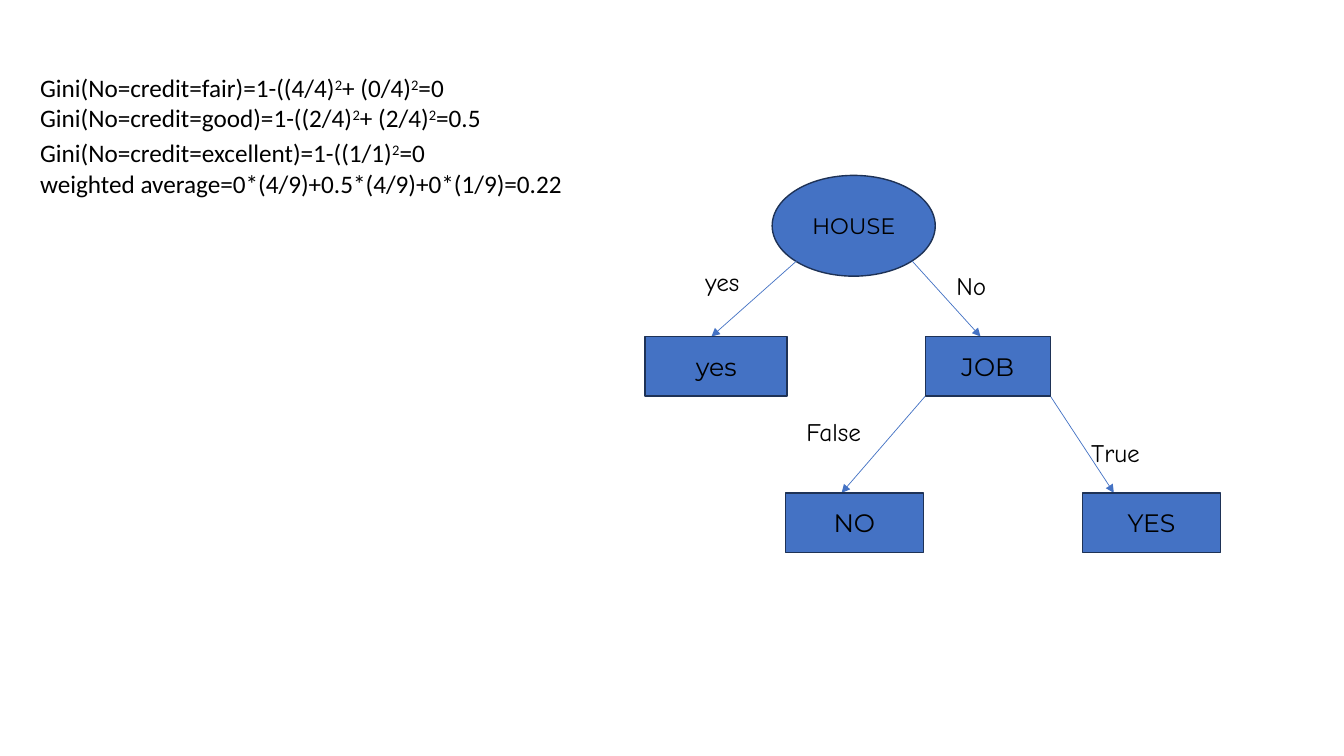
from lxml import etree
from pptx import Presentation
from pptx.dml.color import RGBColor
from pptx.enum.shapes import MSO_CONNECTOR, MSO_SHAPE
from pptx.enum.text import MSO_ANCHOR, MSO_AUTO_SIZE, PP_ALIGN
from pptx.oxml.ns import qn
from pptx.util import Cm, Pt

ELLIPSE, RECTANGLE = MSO_SHAPE.OVAL, MSO_SHAPE.RECTANGLE
STRAIGHT = MSO_CONNECTOR.STRAIGHT
LEFT, CENTER = PP_ALIGN.LEFT, PP_ALIGN.CENTER
MIDDLE = MSO_ANCHOR.MIDDLE
FIT_SHAPE = MSO_AUTO_SIZE.SHAPE_TO_FIT_TEXT

ROOT_BOTTOM, LEVEL_1, LEVEL_2 = 6.58, 8.48, 12.42
BOX_HEIGHT, LABEL_HEIGHT = 1.5, 1.02
JOB_LEFT, JOB_WIDTH, LEAF_WIDTH = 23.32, 3.15, 3.48
JOB_BOTTOM = LEVEL_1 + BOX_HEIGHT

GINI_LINES = [
    "Gini(No=credit=fair)=1-((4/4)²+ (0/4)²=0",
    "Gini(No=credit=good)=1-((2/4)²+ (2/4)²=0.5",
    "Gini(No=credit=excellent)=1-((1/1)²=0",
    "weighted average=0*(4/9)+0.5*(4/9)+0*(1/9)=0.22",
]
BOXES = [  # text, left, top, width
    ("yes", 16.26, LEVEL_1, 3.58),
    ("JOB", JOB_LEFT, LEVEL_1, JOB_WIDTH),
    ("NO", 19.79, LEVEL_2, LEAF_WIDTH),
    ("YES", 27.28, LEVEL_2, LEAF_WIDTH),
]
BRANCHES = [  # start, end
    ((20.07, ROOT_BOTTOM), (17.93, LEVEL_1)),
    ((22.99, ROOT_BOTTOM), (24.71, LEVEL_1)),
    ((JOB_LEFT, JOB_BOTTOM), (21.21, LEVEL_2)),
    ((JOB_LEFT + JOB_WIDTH, JOB_BOTTOM), (28.07, LEVEL_2)),
]
LABELS = [  # text, left, top, width
    ("yes", 17.53, 6.58, 1.6),
    ("No", 23.85, 6.68, 1.65),
    ("False", 20.07, 10.36, 3.76),
    ("True", 27.25, 10.9, 3.51),
]


def color(hex_string):
    return RGBColor.from_string(hex_string)


def write(paragraph, text, font="Calibri", size=18, fill="000000", align=LEFT, before=0):
    """Fill a paragraph; each ² becomes a raised 2."""
    paragraph.alignment = align
    paragraph.space_before = Pt(before)
    for index, part in enumerate(text.split("²")):
        pieces = [(part, False)] if index == 0 else [("2", True), (part, False)]
        for piece, raised in pieces:
            run = paragraph.add_run()
            run.text = piece
            run.font.name = font
            run.font.size = Pt(size)
            run.font.color.rgb = color(fill)
            if raised:
                run._r.get_or_add_rPr().set("baseline", "30000")


class TreeSlide:
    blue = "4472C4"
    outline = "1E3256"
    node_font = "Montserrat"
    label_font = "Comic Neue"

    def __init__(self, slide):
        self.slide = slide

    def text_box(self, lines, left, top, width, height, gaps=None, **text_format):
        """Add lines as paragraphs; gaps maps a line index to its space before."""
        box = self.slide.shapes.add_textbox(Cm(left), Cm(top), Cm(width), Cm(height))
        frame = box.text_frame
        frame.word_wrap = True
        frame.auto_size = FIT_SHAPE
        for index, line in enumerate(lines):
            paragraph = frame.add_paragraph() if index else frame.paragraphs[0]
            write(paragraph, line, before=(gaps or {}).get(index, 0), **text_format)

    def node(self, kind, text, left, top, width, height, size=18):
        shape = self.slide.shapes.add_shape(kind, Cm(left), Cm(top), Cm(width), Cm(height))
        shape.shadow.inherit = False
        shape.fill.solid()
        shape.fill.fore_color.rgb = color(self.blue)
        shape.line.color.rgb = color(self.outline)
        shape.line.width = Pt(1)
        shape.text_frame.word_wrap = True
        shape.text_frame.vertical_anchor = MIDDLE
        write(shape.text_frame.paragraphs[0], text, font=self.node_font, size=size, align=CENTER)

    def arrow(self, start, end):
        points = [Cm(value) for value in (*start, *end)]
        connector = self.slide.shapes.add_connector(STRAIGHT, *points)
        connector.line.color.rgb = color(self.blue)
        connector.line.width = Pt(0.5)
        etree.SubElement(connector.line._get_or_add_ln(), qn("a:tailEnd"), type="triangle")
        etree.SubElement(connector._element.spPr, qn("a:effectLst"))


def main():
    presentation = Presentation()
    presentation.slide_width, presentation.slide_height = Cm(33.87), Cm(19.05)
    tree = TreeSlide(presentation.slides.add_slide(presentation.slide_layouts[6]))

    tree.text_box(GINI_LINES, 0.76, 1.7, 16.94, 3.33, gaps={2: 3.5})
    tree.node(ELLIPSE, "HOUSE", 19.46, 4.42, 4.11, 2.54, size=16)
    for start, end in BRANCHES:
        tree.arrow(start, end)
    for text, left, top, width in BOXES:
        tree.node(RECTANGLE, text, left, top, width, BOX_HEIGHT)
    for text, left, top, width in LABELS:
        tree.text_box([text], left, top, width, LABEL_HEIGHT, font=tree.label_font)

    presentation.save("out.pptx")


if __name__ == "__main__":
    main()
